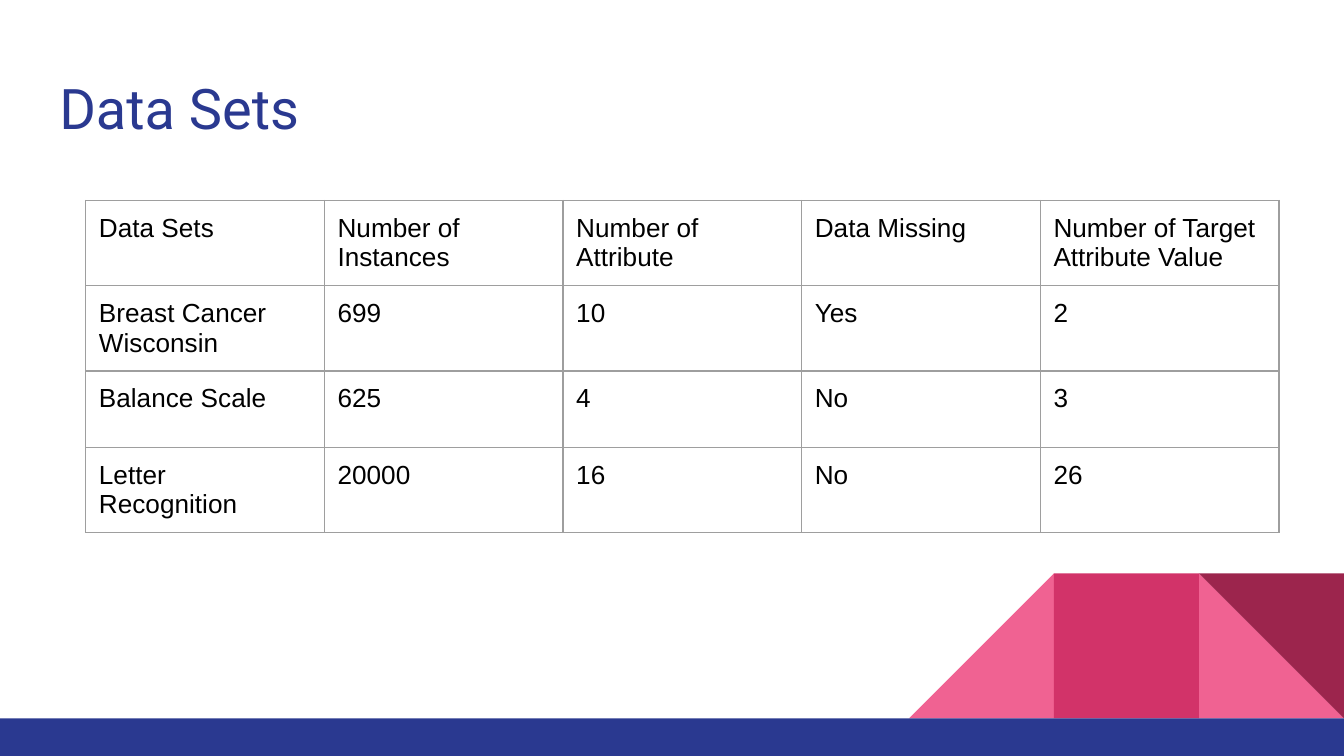
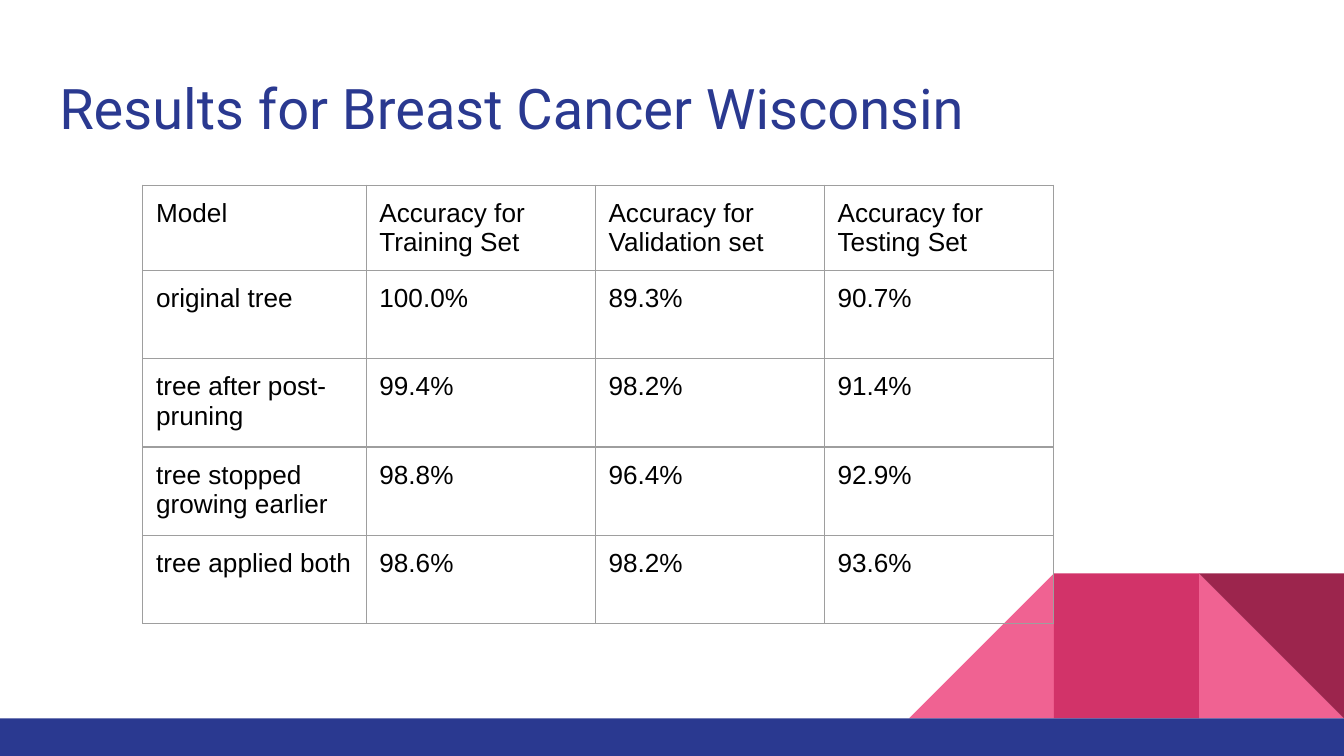
import pptx
import pptx.util
import pptx.dml.color
import pptx.enum.shapes
import pptx.enum.text
import pptx.oxml

Cm = pptx.util.Cm
Pt = pptx.util.Pt
SHAPES = pptx.enum.shapes.MSO_SHAPE

COLOURS = {
    "blue": "2A3990",
    "pink": "F06292",
    "rose": "D23369",
    "wine": "9C254D",
    "grid": "9E9E9E",
    "ink": "000000",
}
PAGE_WIDTH, PAGE_HEIGHT = 25.4, 14.29
BAND_HEIGHT = 0.71
TILE = 2.74
INSET = 0.25

# Corner tiles: preset, tiles from the right edge, rotation, colour
TILES = [
    (SHAPES.RIGHT_TRIANGLE, 1, 0, "pink"),
    (SHAPES.RIGHT_TRIANGLE, 3, 270, "pink"),
    (SHAPES.RECTANGLE, 2, 0, "rose"),
    (SHAPES.RIGHT_TRIANGLE, 1, 180, "wine"),
]


def rgb(colour):
    return pptx.dml.color.RGBColor.from_string(COLOURS[colour])


def apply(target, values):
    for name, value in values.items():
        setattr(target, name, value)


class SlideBuilder:
    title_font = {"name": "Roboto", "size": Pt(30), "bold": False}
    cell_font = {"name": "Arial", "size": Pt(14), "bold": False}
    margins = {f"margin_{side}": Cm(INSET)
               for side in ("left", "right", "top", "bottom")}

    def __init__(self, deck):
        self.deck = deck
        self.page = None

    def start(self, title):
        self.page = self.deck.slides.add_slide(self.deck.slide_layouts[5])
        self.decorate()
        self.title(title)

    def shape(self, preset, left, top, width, height, colour, rotation=0):
        shape = self.page.shapes.add_shape(
            preset, Cm(left), Cm(top), Cm(width), Cm(height))
        shape.shadow.inherit = False
        shape.rotation = rotation
        shape.fill.solid()
        shape.fill.fore_color.rgb = rgb(colour)
        shape.line.fill.background()

    def decorate(self):
        band_top = PAGE_HEIGHT - BAND_HEIGHT
        for preset, steps, rotation, colour in TILES:
            self.shape(preset, PAGE_WIDTH - steps * TILE, band_top - TILE,
                       TILE, TILE, colour, rotation)
        self.shape(SHAPES.RECTANGLE, 0, band_top, PAGE_WIDTH, BAND_HEIGHT, "blue")

    def text(self, para, words, font, colour):
        para.alignment = pptx.enum.text.PP_ALIGN.LEFT
        span = para.add_run()
        span.text = words
        apply(span.font, font)
        span.font.color.rgb = rgb(colour)

    def title(self, words):
        box = self.page.shapes.title
        apply(box, {"left": Cm(0.87), "top": Cm(1.14),
                    "width": Cm(23.67), "height": Cm(1.68)})
        apply(box.text_frame, {
            **self.margins,
            "word_wrap": True,
            "auto_size": pptx.enum.text.MSO_AUTO_SIZE.NONE,
            "vertical_anchor": pptx.enum.text.MSO_ANCHOR.TOP,
        })
        self.text(box.text_frame.paragraphs[0], words, self.title_font, "blue")

    def table(self, left, top, widths, heights, rows):
        table = self.page.shapes.add_table(
            len(rows), len(widths), Cm(left), Cm(top),
            Cm(sum(widths)), Cm(sum(heights))).table
        apply(table, {"first_row": False, "horz_banding": False})
        for column, width in zip(table.columns, widths):
            column.width = Cm(width)
        for row, height, entries in zip(table.rows, heights, rows):
            row.height = Cm(height)
            for cell, words in zip(row.cells, entries):
                apply(cell, self.margins)
                cell.fill.background()
                self.text(cell.text_frame.paragraphs[0], words,
                          self.cell_font, "ink")
                self.border(cell)

    def border(self, cell):
        properties = cell._tc.get_or_add_tcPr()
        for index, side in enumerate("LRTB"):
            properties.insert(index, pptx.oxml.parse_xml(
                f'<a:ln{side} w="{Pt(0.75)}" xmlns:a='
                '"http://schemas.openxmlformats.org/drawingml/2006/main">'
                f'<a:solidFill><a:srgbClr val="{COLOURS["grid"]}"/></a:solidFill>'
                f'</a:ln{side}>'))


def main():
    deck = pptx.Presentation()
    apply(deck, {"slide_width": Cm(PAGE_WIDTH), "slide_height": Cm(PAGE_HEIGHT)})
    builder = SlideBuilder(deck)

    # Data sets
    builder.start("Data Sets")
    builder.table(1.62, 3.79, [4.51] * 5, [1.27] + [1.44] * 3, [
        ["Data Sets", "Number of Instances", "Number of Attribute",
         "Data Missing", "Number of Target Attribute Value"],
        ["Breast Cancer Wisconsin", "699", "10", "Yes", "2"],
        ["Balance Scale", "625", "4", "No", "3"],
        ["Letter Recognition", "20000", "16", "No", "26"],
    ])

    # Accuracy of the tree models
    builder.start("Results for Breast Cancer Wisconsin")
    builder.table(2.7, 3.5, [4.22] + [4.33] * 3, [1.35] + [1.67] * 4, [
        ["Model", "Accuracy for Training Set", "Accuracy for Validation set",
         "Accuracy for Testing Set"],
        ["original tree", "100.0%", "89.3%", "90.7%"],
        ["tree after post-pruning", "99.4%", "98.2%", "91.4%"],
        ["tree stopped growing earlier", "98.8%", "96.4%", "92.9%"],
        ["tree applied both", "98.6%", "98.2%", "93.6%"],
    ])

    deck.save("out.pptx")


if __name__ == "__main__":
    main()
